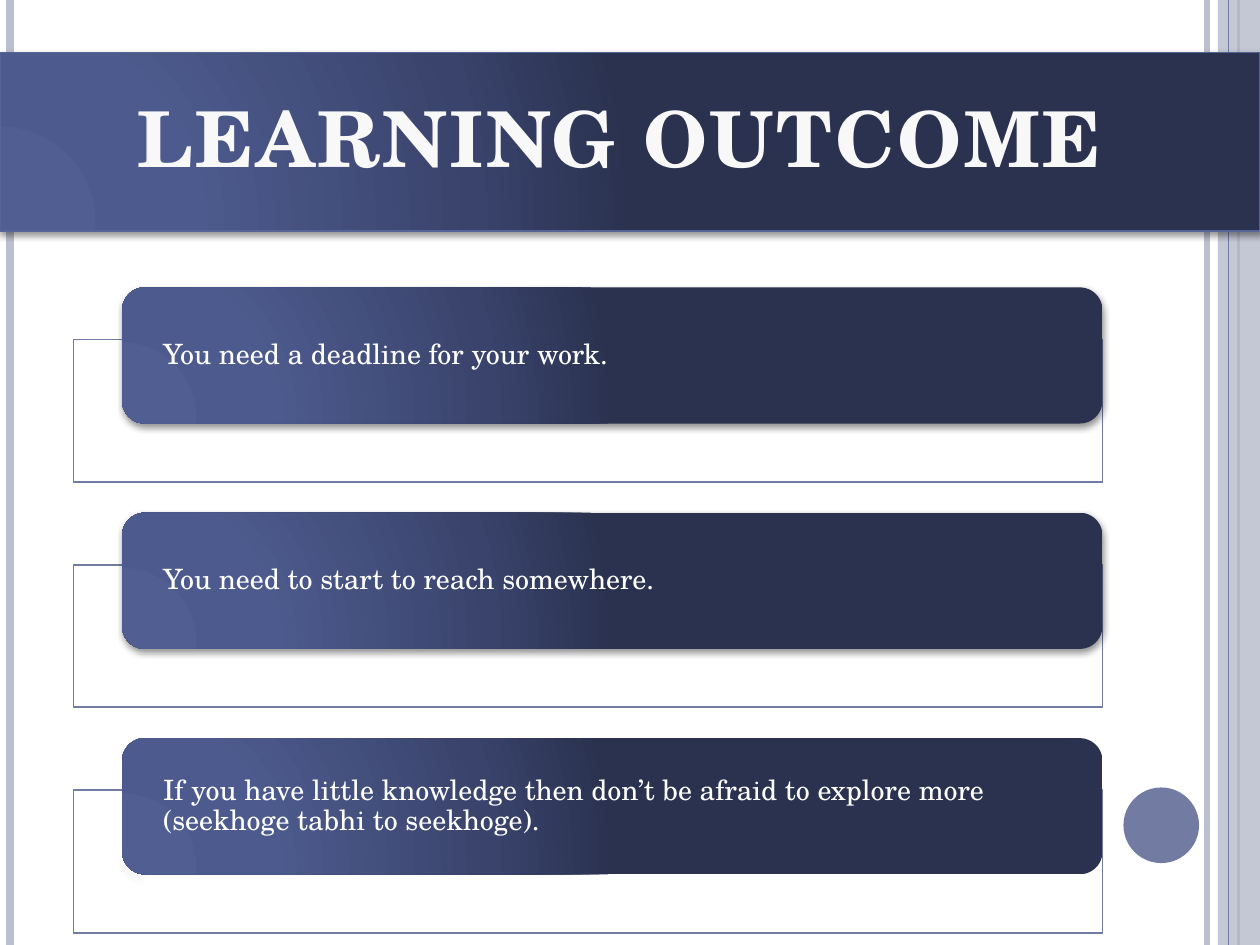
"""Build the learning outcome slide with three stacked cards."""
import pptx
import pptx.util
import pptx.oxml
import pptx.oxml.ns
from pptx.dml.color import RGBColor
from pptx.enum.shapes import MSO_CONNECTOR, MSO_SHAPE
from pptx.enum.text import MSO_ANCHOR, PP_ALIGN

Pt = pptx.util.Pt
qn = pptx.oxml.ns.qn
theme = {
    "font": "TeX Gyre Schola", "head": 44, "body": 16,
    "white": "FFFFFF", "title": "F8F8F8", "pale": "BCBFCE",
    "blue": "727CA3", "edge": "576496",
    "grad": [(0, "505E92"), (30, "4D5A8D"), (75, "39436B"), (100, "2A324F")],
}
space = pptx.oxml.ns.nsdecls("a")
stops = "".join(
    f'<a:gs pos="{pos * 1000}"><a:srgbClr val="{hue}"/></a:gs>'
    for pos, hue in theme["grad"])
grad = (f'<a:gradFill {space} rotWithShape="1"><a:gsLst>{stops}</a:gsLst>'
        '<a:path path="circle"><a:fillToRect l="5000" t="100000" '
        'r="120000" b="10000"/></a:path></a:gradFill>')
shade = (f'<a:outerShdw {space} blurRad="{Pt(4)}" dist="{Pt(1.6)}" '
         'dir="5400000" rotWithShape="0"><a:srgbClr val="000000">'
         '<a:alpha val="42000"/></a:srgbClr></a:outerShdw>')


def write(frame, text, size, hue, bold=False, align=PP_ALIGN.LEFT,
          anchor=MSO_ANCHOR.MIDDLE, track=0, lead=1.0, after=0):
    frame.word_wrap = True
    frame.vertical_anchor = anchor
    para = frame.paragraphs[0]
    para.alignment, para.line_spacing = align, lead
    para.space_before, para.space_after = Pt(0), Pt(after)
    run = para.add_run()
    run.text = text
    run.font.name, run.font.size, run.font.bold = theme["font"], Pt(size), bold
    run.font.color.rgb = RGBColor.from_string(hue)
    if track:
        run.font._element.set("spc", str(int(track * 100)))


def draw(kind, rect, fill=None, alpha=100, line=None):
    shape = slide.shapes.add_shape(kind, *[Pt(n) for n in rect])
    shape.shadow.inherit = False
    shape.fill.solid()
    props = shape.element.spPr
    solid = props.find(qn("a:solidFill"))
    if fill:
        shape.fill.fore_color.rgb = RGBColor.from_string(fill)
        tint = pptx.oxml.parse_xml(f'<a:alpha {space} val="{alpha * 1000}"/>')
        solid.find(qn("a:srgbClr")).append(tint)
    else:
        props.replace(solid, pptx.oxml.parse_xml(grad))
        props.find(qn("a:effectLst")).append(pptx.oxml.parse_xml(shade))
    if line:
        shape.line.color.rgb = RGBColor.from_string(line)
        shape.line.width = Pt(1)
    else:
        shape.line.fill.background()
    return shape


deck = pptx.Presentation()
deck.slide_width, deck.slide_height = Pt(720), Pt(540)
slide = deck.slides.add_slide(deck.slide_layouts[5])

rules = [(689.8, 3, "pale"), (5.8, 4.5, "pale"), (707.8, 1.5, "blue"),
         (702, 0.75, "blue")]
for x, width, hue in rules:
    if x == 702:
        draw(MSO_SHAPE.RECTANGLE, (696, 0, 24, 540), theme["pale"], 87)
    rule = slide.shapes.add_connector(
        MSO_CONNECTOR.STRAIGHT, Pt(x), Pt(0), Pt(x), Pt(540))
    rule.line.color.rgb = RGBColor.from_string(theme[hue])
    rule.line.width = Pt(width)
    rule.element.spPr.append(pptx.oxml.parse_xml(f"<a:effectLst {space}/>"))
draw(MSO_SHAPE.OVAL, (642, 450, 43.2, 43.2), theme["blue"])

notes = [
    "You need a deadline for your work.",
    "You need to start to reach somewhere.",
    "If you have little knowledge then don’t be afraid to explore more "
    "(seekhoge tabhi to seekhoge).",
]
for i, note in enumerate(notes):
    top = 164.2 + 128.8 * i
    draw(MSO_SHAPE.RECTANGLE, (42, top + 29.8, 588, 81.4),
         theme["white"], 90, theme["blue"])
    card = draw(MSO_SHAPE.ROUNDED_RECTANGLE, (69.8, top, 560.2, 77.8))
    frame = card.text_frame
    frame.margin_left = frame.margin_right = Pt(19.6)
    frame.margin_top = frame.margin_bottom = Pt(0)
    write(frame, note, theme["body"], theme["white"], lead=0.9, after=5.6)

draw(MSO_SHAPE.RECTANGLE, (0, 30, 720, 102), line=theme["edge"])
title = slide.shapes.title
title.left, title.top, title.width, title.height = (
    Pt(60), Pt(42), Pt(588), Pt(66))
write(title.text_frame, "LEARNING OUTCOME", theme["head"], theme["title"],
      bold=True, align=PP_ALIGN.CENTER, anchor=MSO_ANCHOR.BOTTOM, track=1.5)
title.element.getparent().append(title.element)

deck.save("out.pptx")
